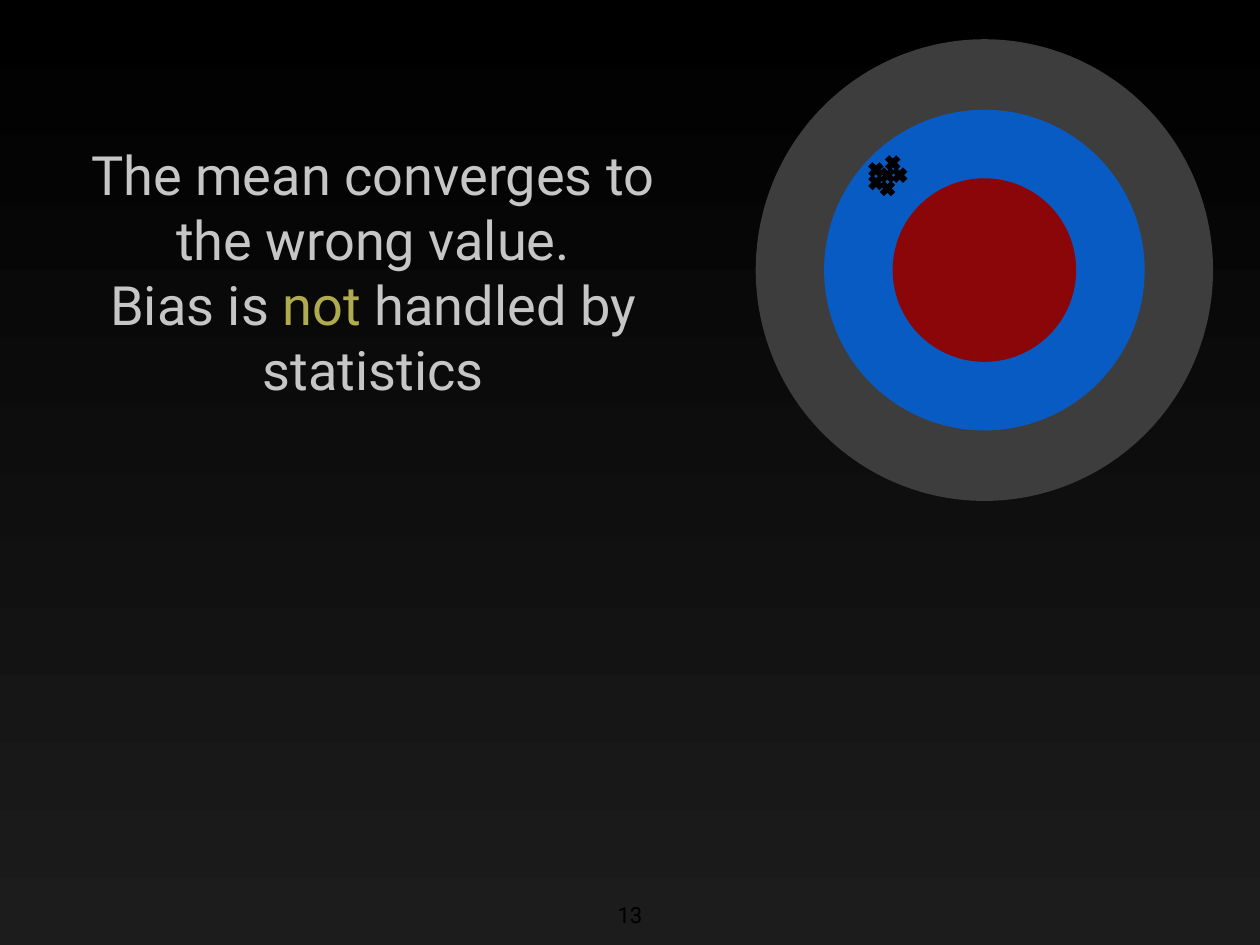
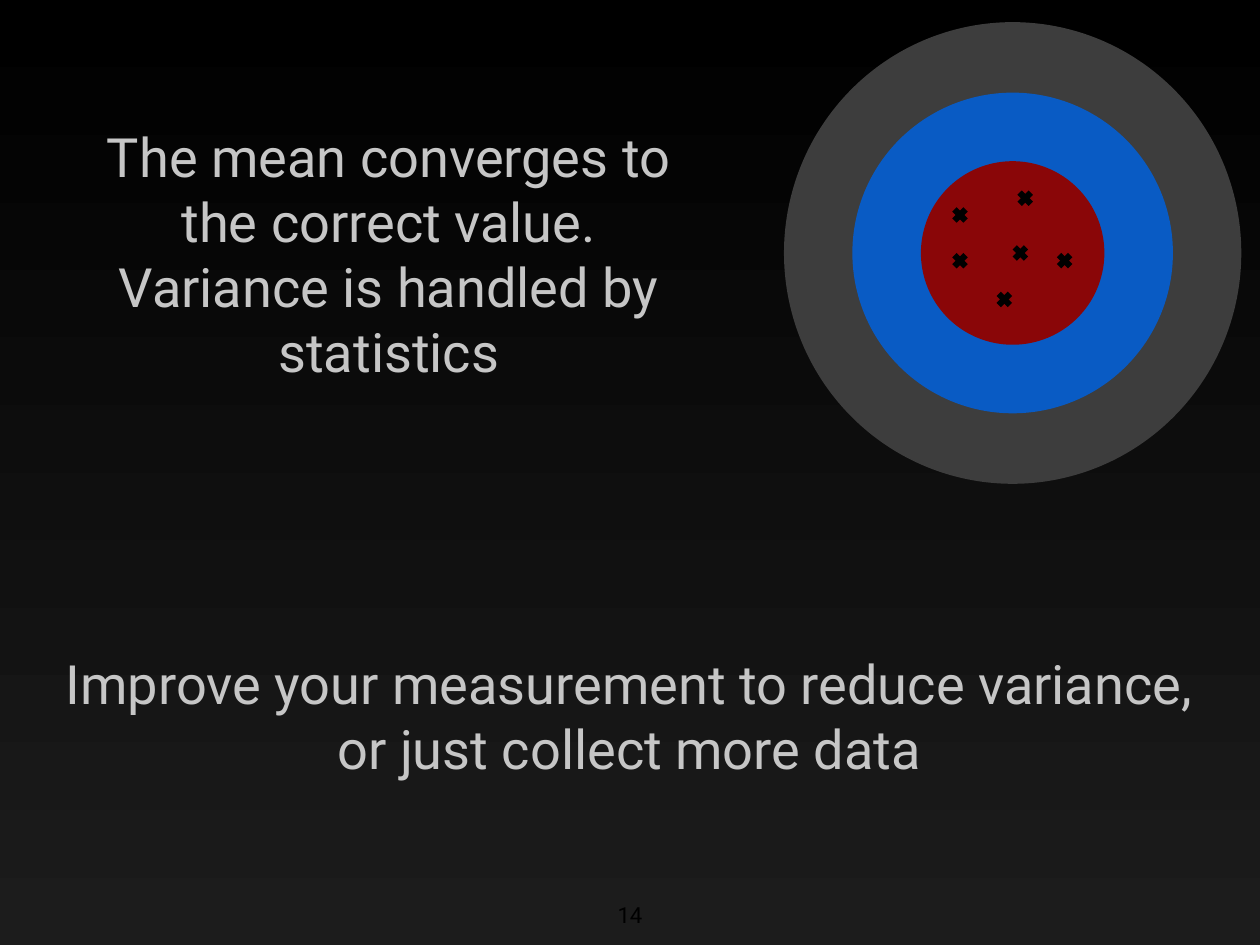
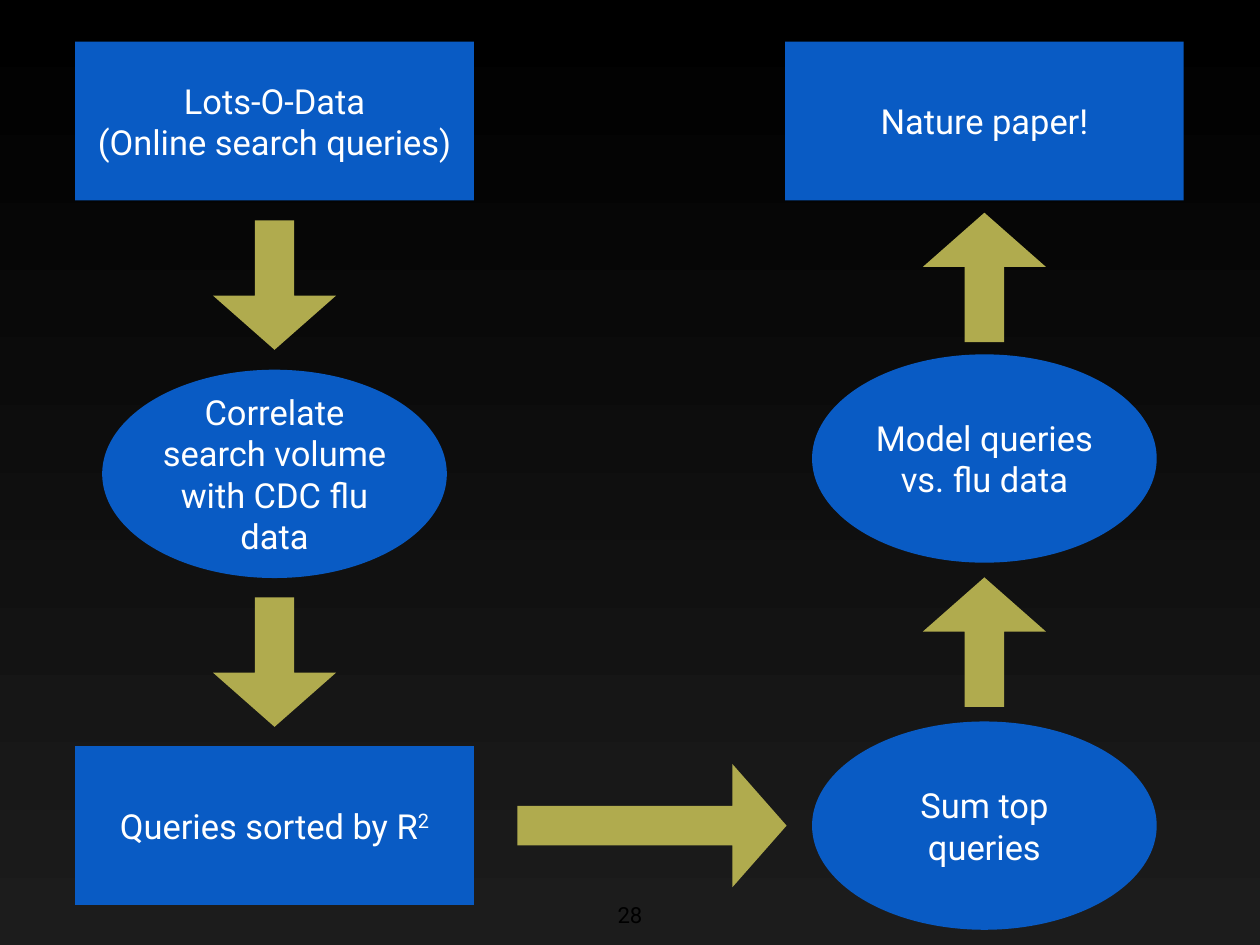
from lxml.etree import SubElement
from pptx import Presentation
from pptx.dml.color import RGBColor
from pptx.enum.shapes import MSO_CONNECTOR, MSO_SHAPE
from pptx.enum.text import MSO_ANCHOR, MSO_AUTO_SIZE, PP_ALIGN
from pptx.oxml.ns import qn
from pptx.util import Cm, Pt


def rgb(value):
    return RGBColor.from_string(value)


class Deck:
    FONT = "Roboto"
    BLACK, CHARCOAL = "000000", "1C1C1C"
    GREY, BLUE, RED = "3D3D3D", "095BC4", "8A0608"
    SILVER, WHITE, OLIVE = "C6C6C6", "FFFFFF", "B0AB4E"
    WIDTH, HEIGHT = 36.12, 27.08
    TITLE_LAYOUT, BLANK_LAYOUT = 5, 6
    STATEMENT_SIZE, STEP_SIZE, NUMBER_SIZE = 44, 28, 18
    STATEMENT_HEIGHT = 9.25
    STATEMENT_INSET = 0.18
    RINGS = ((13.11, 13.23, GREY), (9.19, 9.19, BLUE), (5.26, 5.26, RED))
    HIT_RADIUS = 0.16
    BOX = (MSO_SHAPE.RECTANGLE, 11.43, 4.55)
    OVAL = (MSO_SHAPE.OVAL, 9.88, 5.97)
    ARROW_LENGTH, ARROW_WIDTH = 3.71, 3.53

    def __init__(self):
        self.prs = Presentation()
        self.prs.slide_width = Cm(self.WIDTH)
        self.prs.slide_height = Cm(self.HEIGHT)
        backdrop = self.prs.slide_master.background.fill
        backdrop.gradient()
        backdrop.gradient_angle = 270
        for stop, color in zip(backdrop.gradient_stops, (self.BLACK, self.CHARCOAL)):
            stop.color.rgb = rgb(color)

    def new_slide(self, layout, number):
        self.slide = self.prs.slides.add_slide(self.prs.slide_layouts[layout])
        page = self.slide.shapes.add_textbox(
            Cm(self.WIDTH / 2 - 1), Cm(25.7), Cm(2), Cm(1))
        self.put_text(page, [[number]], self.NUMBER_SIZE, self.BLACK)

    def put_text(self, holder, lines, size, color, inset=0):
        frame = holder.text_frame
        frame.word_wrap = True
        frame.auto_size = MSO_AUTO_SIZE.NONE
        frame.vertical_anchor = MSO_ANCHOR.MIDDLE
        frame.margin_left = frame.margin_right = Cm(inset)
        frame.margin_top = frame.margin_bottom = Cm(inset)
        frame.text = "\n".join(line[0] for line in lines)
        for paragraph, line in zip(frame.paragraphs, lines):
            paragraph.alignment = PP_ALIGN.CENTER
            for part in line[1:]:
                paragraph.add_run().text = part
            for run in paragraph.runs:
                run.font.name = self.FONT
                run.font.size = Pt(size)
                run.font.color.rgb = rgb(color)
        return frame.paragraphs

    def statement(self, holder, left, top, width, lines):
        holder.left, holder.top = Cm(left), Cm(top)
        holder.width, holder.height = Cm(width), Cm(self.STATEMENT_HEIGHT)
        return self.put_text(holder, lines, self.STATEMENT_SIZE, self.SILVER,
                             self.STATEMENT_INSET)

    def headline(self, left, top, lines):
        return self.statement(self.slide.shapes.title, left, top, 18.8, lines)

    def advice(self, left, top, width, lines):
        holder = self.slide.shapes.add_textbox(0, 0, 0, 0)
        return self.statement(holder, left, top, width, lines)

    def solid(self, shapes, kind, x, y, width, height, color):
        shape = shapes.add_shape(kind, Cm(x - width / 2), Cm(y - height / 2),
                                 Cm(width), Cm(height))
        shape.shadow.inherit = False
        shape.fill.solid()
        shape.fill.fore_color.rgb = rgb(color)
        shape.line.fill.background()
        return shape

    def stroke(self, shapes, x1, y1, x2, y2):
        line = shapes.add_connector(MSO_CONNECTOR.STRAIGHT,
                                    Cm(x1), Cm(y1), Cm(x2), Cm(y2))
        line.line.color.rgb = rgb(self.BLACK)
        line.line.width = Pt(5)
        SubElement(line._element.spPr, qn("a:effectLst"))

    def target(self, x, y, hits):
        shapes = self.slide.shapes.add_group_shape().shapes
        for width, height, color in self.RINGS:
            self.solid(shapes, MSO_SHAPE.OVAL, x, y, width, height, color)
        r = self.HIT_RADIUS
        for dx, dy in hits:
            for rise in (-r, r):
                self.stroke(shapes, x + dx - r, y + dy + rise,
                            x + dx + r, y + dy - rise)

    def step(self, form, x, y, lines):
        shape = self.solid(self.slide.shapes, form[0], x, y, *form[1:], self.BLUE)
        return self.put_text(shape, lines, self.STEP_SIZE, self.WHITE)

    def arrow(self, x, y, length=ARROW_LENGTH, rotation=0):
        shape = self.solid(self.slide.shapes, MSO_SHAPE.RIGHT_ARROW, x, y,
                           length, self.ARROW_WIDTH, self.OLIVE)
        shape.adjustments[0], shape.adjustments[1] = 0.32, 0.44
        shape.rotation = rotation

    def column(self, x, steps, rotation):
        labels = []
        previous_bottom = None
        for form, y, lines in steps:
            top = y - form[2] / 2
            if previous_bottom is not None:
                self.arrow(x, (previous_bottom + top) / 2, rotation=rotation)
            labels.append(self.step(form, x, y, lines))
            previous_bottom = y + form[2] / 2
        return labels


def bias_slide(deck):
    deck.new_slide(deck.TITLE_LAYOUT, "13")
    deck.target(28.22, 7.74, [(-3.11, -2.51), (-2.78, -2.72), (-2.78, -2.34),
                              (-3.11, -2.87), (-2.43, -2.72), (-2.63, -3.07)])
    claim = deck.headline(1.3, 3.15, [
        ["The mean converges to the wrong value."],
        ["Bias is ", "not", " handled by statistics"],
    ])
    claim[1].runs[1].font.color.rgb = rgb(deck.OLIVE)


def variance_slide(deck):
    deck.new_slide(deck.TITLE_LAYOUT, "14")
    deck.target(29.03, 7.25, [(-1.51, 0.22), (0.22, 0), (-0.24, 1.33),
                              (-1.51, -1.09), (1.49, 0.22), (0.36, -1.57)])
    deck.headline(1.75, 2.64, [
        ["The mean converges to the correct value."],
        ["Variance is handled by statistics"],
    ])
    deck.advice(1.35, 15.88, 33.4, [
        ["Improve your measurement to reduce variance, or just collect more data"],
    ])


def flu_slide(deck):
    deck.new_slide(deck.BLANK_LAYOUT, "28")
    top, bottom = 3.47, 23.66
    gathering = deck.column(7.87, [
        (deck.BOX, top, [["Lots-O-Data"], ["(Online search queries)"]]),
        (deck.OVAL, 13.58, [["Correlate search volume with CDC flu data"]]),
        (deck.BOX, bottom, [["Queries sorted by R", "2"]]),
    ], rotation=90)
    exponent = gathering[-1][0].runs[1]
    exponent._r.get_or_add_rPr().set("baseline", "32000")
    deck.arrow(18.69, bottom, length=7.72)
    deck.column(28.22, [
        (deck.BOX, top, [["Nature paper!"]]),
        (deck.OVAL, 13.14, [["Model queries vs. flu data"]]),
        (deck.OVAL, bottom, [["Sum top queries"]]),
    ], rotation=270)


def main():
    deck = Deck()
    bias_slide(deck)
    variance_slide(deck)
    flu_slide(deck)
    deck.prs.save("out.pptx")


if __name__ == "__main__":
    main()
